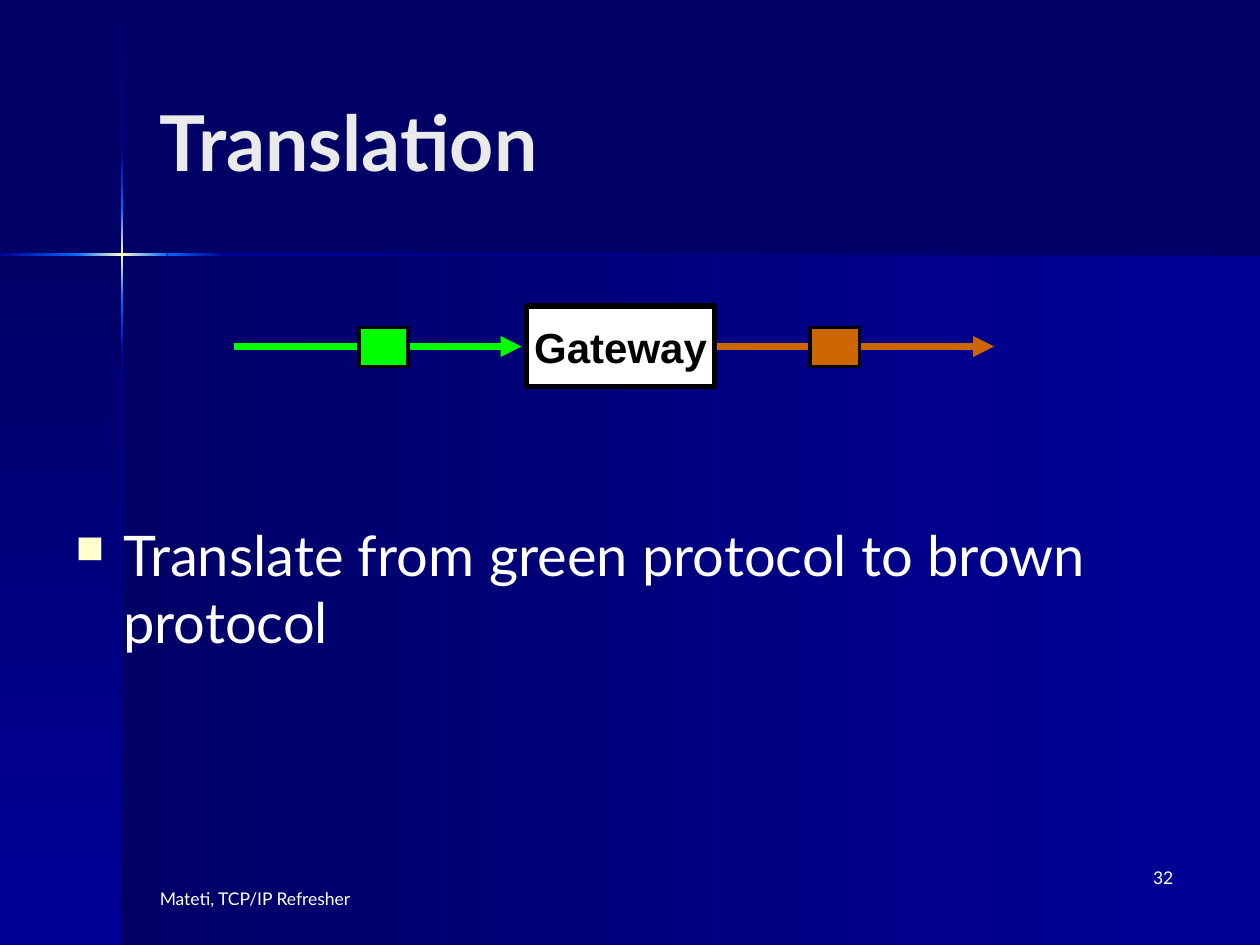
from dataclasses import dataclass

from lxml import etree
from pptx import Presentation
from pptx.dml.color import RGBColor
from pptx.enum.shapes import MSO_CONNECTOR, MSO_SHAPE
from pptx.enum.text import MSO_ANCHOR, PP_ALIGN
from pptx.oxml.ns import qn
from pptx.util import Inches, Pt

RECTANGLE = MSO_SHAPE.RECTANGLE
STRAIGHT = MSO_CONNECTOR.STRAIGHT
TOP, MIDDLE = MSO_ANCHOR.TOP, MSO_ANCHOR.MIDDLE
LEFT, CENTER, RIGHT = PP_ALIGN.LEFT, PP_ALIGN.CENTER, PP_ALIGN.RIGHT
DOWNWARD, LEFTWARD = 90, 180  # gradient directions in degrees


@dataclass(frozen=True)
class Theme:
    """Colours, fonts and type sizes of the slide."""
    navy: str = "000066"
    blue: str = "000099"
    bright: str = "0066FF"
    cream: str = "FFFFCC"
    heading: str = "EAEAEA"
    white: str = "FFFFFF"
    black: str = "000000"
    green: str = "00FF00"
    brown: str = "CC6600"
    font: str = "Lato"
    label_font: str = "Arial"
    title_size: int = 44
    body_size: int = 32
    label_size: int = 24
    footer_size: int = 10


@dataclass(frozen=True)
class Box:
    """A place on the slide in inches."""
    left: float
    top: float
    width: float
    height: float

    def emu(self) -> tuple:
        """Return the four lengths as slide units."""
        return tuple(Inches(v) for v in (self.left, self.top, self.width, self.height))


@dataclass(frozen=True)
class Band:
    """A background area with an even run of gradient colours."""
    box: Box
    direction: int
    colors: tuple


@dataclass(frozen=True)
class Caption:
    """A piece of text with its look."""
    text: str
    box: Box
    size: int
    color: str
    bold: bool = False
    align: int = LEFT
    anchor: int = TOP


@dataclass(frozen=True)
class Flow:
    """One protocol: an arrow and the packet riding on it."""
    start: float
    packet_left: float
    color: str


THEME = Theme()
WIDTH, HEIGHT = 10, 7.5
CROSS_X, CROSS_Y, RAY = 0.97, 2.02, 0.02
ARROW_Y, ARROW_LENGTH = 2.75, 2.28


def column(top: float, bottom: float, *colors: str) -> Band:
    """Return a piece of the vertical ray."""
    return Band(Box(CROSS_X - RAY / 2, top, RAY, bottom - top), DOWNWARD, colors)


def row(left: float, right: float, *colors: str) -> Band:
    """Return a piece of the horizontal ray, coloured from its right end."""
    return Band(Box(left, CROSS_Y - RAY / 2, right - left, RAY), LEFTWARD, colors)


GLINT = (THEME.bright, THEME.cream, THEME.bright)
BANDS = (
    Band(Box(CROSS_X, CROSS_Y, WIDTH - CROSS_X, HEIGHT - CROSS_Y), LEFTWARD, (THEME.blue, THEME.navy)),
    Band(Box(0, CROSS_Y, CROSS_X, HEIGHT - CROSS_Y), DOWNWARD, (THEME.navy, THEME.blue)),
    column(0.01, 1.21, THEME.navy, THEME.blue),
    column(2.82, HEIGHT, THEME.blue, THEME.navy),
    row(1.77, WIDTH, THEME.navy, THEME.blue),
    column(2.38, 2.82, THEME.bright, THEME.blue),
    column(1.21, 1.65, THEME.blue, THEME.bright),
    column(1.65, 2.38, *GLINT),
    row(0, 0.61, THEME.bright, THEME.blue),
    row(1.33, 1.77, THEME.blue, THEME.bright),
    row(0.6, 1.33, *GLINT),
)
FLOWS = (Flow(1.86, 2.85, THEME.green), Flow(5.61, 6.43, THEME.brown))
TITLE = Caption("Translation", Box(1.17, 0.33, 8.25, 1.57), THEME.title_size,
                THEME.heading, bold=True, anchor=MIDDLE)
BODY = Caption("Translate from green protocol to brown protocol",
               Box(0.5, 4.08, 9.17, 1.83), THEME.body_size, THEME.white)
FOOTERS = (
    Caption("Mateti, TCP/IP Refresher", Box(1.17, 7, 2.67, 0.5), THEME.footer_size, THEME.white),
    Caption("32", Box(7.33, 6.83, 2.08, 0.5), THEME.footer_size, THEME.white, align=RIGHT),
)
GATEWAY = Caption("Gateway", Box(4.18, 2.43, 1.49, 0.64), THEME.label_size,
                  THEME.black, bold=True, align=CENTER, anchor=MIDDLE)


def rgb(color: str) -> RGBColor:
    """Turn a hex string into a colour."""
    return RGBColor.from_string(color)


def add_band(slide, band: Band) -> None:
    """Draw a borderless rectangle with a linear gradient."""
    shape = slide.shapes.add_shape(RECTANGLE, *band.box.emu())
    shape.shadow.inherit = False
    shape.line.fill.background()
    shape.fill.gradient()
    shape.fill.gradient_angle = -band.direction % 360
    stops = shape._element.spPr.find(".//" + qn("a:gsLst"))
    for stop in list(stops):
        stops.remove(stop)
    for i, color in enumerate(band.colors):
        position = str(100000 * i // (len(band.colors) - 1))
        stop = etree.SubElement(stops, qn("a:gs"), pos=position)
        etree.SubElement(stop, qn("a:srgbClr"), val=color)


def add_block(slide, box: Box, fill: str, border: float):
    """Draw a filled rectangle with a black border."""
    shape = slide.shapes.add_shape(RECTANGLE, *box.emu())
    shape.shadow.inherit = False
    shape.fill.solid()
    shape.fill.fore_color.rgb = rgb(fill)
    shape.line.color.rgb = rgb(THEME.black)
    shape.line.width = Pt(border)
    return shape


def add_arrow(slide, flow: Flow) -> None:
    """Draw the arrow of a flow."""
    y = Inches(ARROW_Y)
    arrow = slide.shapes.add_connector(
        STRAIGHT, Inches(flow.start), y, Inches(flow.start + ARROW_LENGTH), y)
    arrow.line.color.rgb = rgb(flow.color)
    arrow.line.width = Pt(4)
    etree.SubElement(arrow.line._get_or_add_ln(), qn("a:tailEnd"), type="triangle")
    etree.SubElement(arrow._element.spPr, qn("a:effectLst"))


def write(shape, caption: Caption, font: str = THEME.font, wrap: bool = True):
    """Put a caption into a shape and return its paragraph."""
    frame = shape.text_frame
    frame.text = caption.text
    frame.word_wrap = wrap
    frame.vertical_anchor = caption.anchor
    paragraph = frame.paragraphs[0]
    paragraph.alignment = caption.align
    face = paragraph.runs[0].font
    face.name, face.size, face.bold = font, Pt(caption.size), caption.bold
    face.color.rgb = rgb(caption.color)
    return paragraph


def add_text(slide, caption: Caption):
    """Add a text box and return its paragraph."""
    return write(slide.shapes.add_textbox(*caption.box.emu()), caption)


def add_bullet(paragraph) -> None:
    """Give a paragraph a square bullet with a hanging indent."""
    paragraph.space_before = Pt(8)
    props = paragraph._p.get_or_add_pPr()
    props.set("marL", str(Inches(0.38)))
    props.set("indent", str(-Inches(0.38)))
    color = etree.SubElement(props, qn("a:buClr"))
    etree.SubElement(color, qn("a:srgbClr"), val=THEME.cream)
    etree.SubElement(props, qn("a:buSzPct"), val="70000")
    etree.SubElement(props, qn("a:buChar"), char="■")


def main() -> None:
    """Build and save the slide."""
    deck = Presentation()
    deck.slide_width, deck.slide_height = Inches(WIDTH), Inches(HEIGHT)
    slide = deck.slides.add_slide(deck.slide_layouts[6])
    slide.background.fill.solid()
    slide.background.fill.fore_color.rgb = rgb(THEME.navy)
    for band in BANDS:
        add_band(slide, band)
    for flow in FLOWS:
        add_arrow(slide, flow)
    add_text(slide, TITLE)
    add_bullet(add_text(slide, BODY))
    write(add_block(slide, GATEWAY.box, THEME.white, 3), GATEWAY, THEME.label_font, wrap=False)
    for flow in FLOWS:
        add_block(slide, Box(flow.packet_left, 2.6, 0.39, 0.31), flow.color, 2)
    for footer in FOOTERS:
        add_text(slide, footer)
    deck.save("out.pptx")


main()
